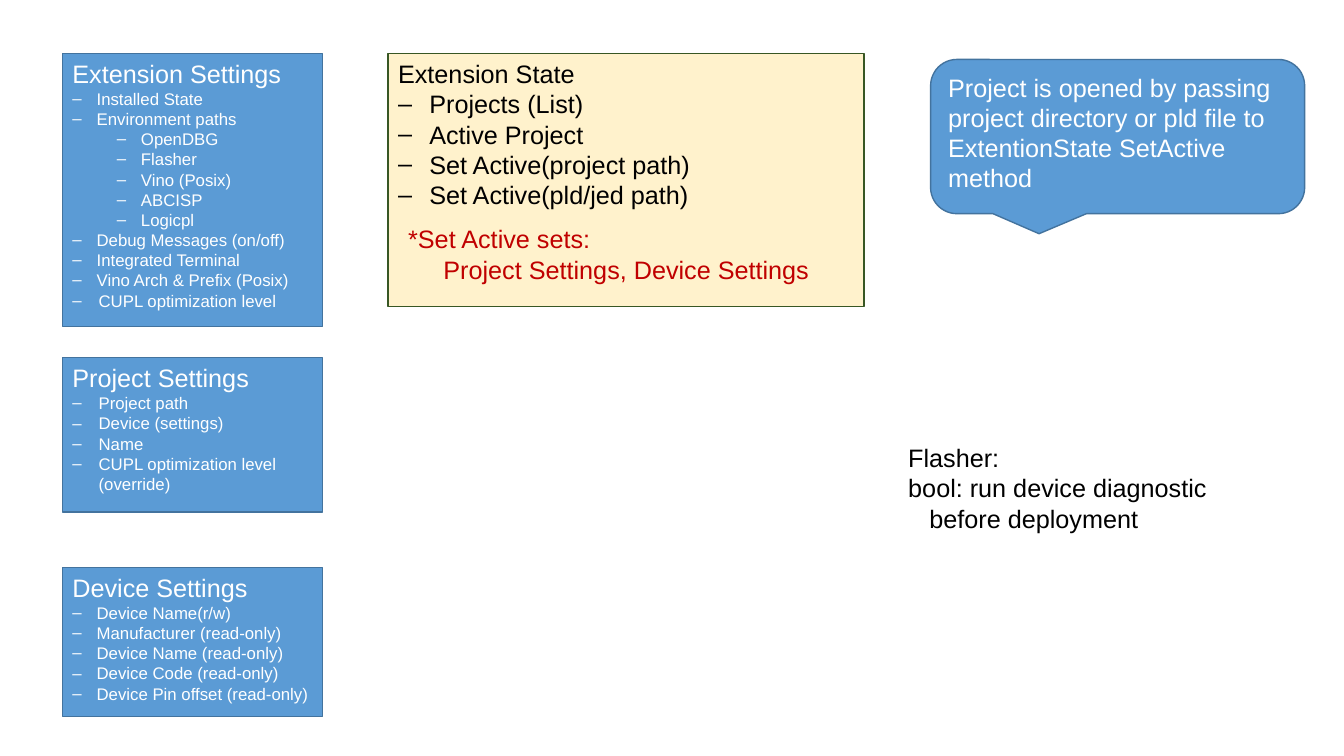
import pptx
import pptx.util
import pptx.dml.color
import pptx.enum.shapes
import pptx.enum.text
import pptx.oxml.ns
import lxml.etree

Inches = pptx.util.Inches
RGBColor = pptx.dml.color.RGBColor
Shapes = pptx.enum.shapes.MSO_SHAPE

BLUE = RGBColor(0x5B, 0x9B, 0xD5)
BLUE_EDGE = RGBColor(0x43, 0x73, 0x9E)
CREAM = RGBColor(0xFF, 0xF2, 0xCC)
GREEN_EDGE = RGBColor(0x38, 0x57, 0x24)
WHITE = RGBColor(0xFF, 0xFF, 0xFF)
BLACK = RGBColor(0x00, 0x00, 0x00)
RED = RGBColor(0xC0, 0x00, 0x00)

SETTINGS_LEFT, SETTINGS_WIDTH = 0.62, 2.58
NARROW, MEDIUM, WIDE = 0.24, 0.26, 0.31
NESTED = 0.44

EXTENSION_SETTINGS = [
    ("Installed State", 0, NARROW),
    ("Environment paths", 0, NARROW),
    ("OpenDBG", 1, NARROW),
    ("Flasher", 1, NARROW),
    ("Vino (Posix)", 1, NARROW),
    ("ABCISP", 1, NARROW),
    ("Logicpl", 1, NARROW),
    ("Debug Messages (on/off)", 0, NARROW),
    ("Integrated Terminal", 0, NARROW),
    ("Vino Arch & Prefix (Posix)", 0, NARROW),
    ("CUPL optimization level", 0, MEDIUM),
]
PROJECT_SETTINGS = [
    (text, 0, MEDIUM)
    for text in ("Project path", "Device (settings)", "Name",
                 "CUPL optimization level (override)")
]
DEVICE_SETTINGS = [
    (text, 0, NARROW)
    for text in ("Device Name(r/w)", "Manufacturer (read-only)",
                 "Device Name (read-only)", "Device Code (read-only)",
                 "Device Pin offset (read-only)")
]
EXTENSION_STATE = [
    (text, 0, WIDE)
    for text in ("Projects (List)", "Active Project",
                 "Set Active(project path)", "Set Active(pld/jed path)")
]


def apply_format(target, values):
    for name, value in values.items():
        setattr(target, name, value)


def prepare_frame(shape):
    apply_format(shape.text_frame, {
        "word_wrap": True,
        "vertical_anchor": pptx.enum.text.MSO_ANCHOR.TOP,
    })


def write_paragraph(shape, text, color, size=18, indent=0):
    frame = shape.text_frame
    paragraph = frame.add_paragraph() if frame.text else frame.paragraphs[0]
    paragraph.alignment = pptx.enum.text.PP_ALIGN.LEFT
    run = paragraph.add_run()
    run.text = text
    apply_format(run.font, {"name": "Arial", "size": pptx.util.Pt(size)})
    run.font.color.rgb = color
    if indent:
        paragraph._p.get_or_add_pPr().set("marL", str(Inches(indent)))
    return paragraph


def add_dash(paragraph, level, hanging):
    paragraph.level = level
    properties = paragraph._p.get_or_add_pPr()
    properties.set("marL", str(Inches(hanging + level * NESTED)))
    properties.set("indent", str(-Inches(hanging)))
    for tag, name, value in (("a:buFont", "typeface", "Arial"),
                             ("a:buChar", "char", "–")):
        element = lxml.etree.SubElement(properties, pptx.oxml.ns.qn(tag))
        element.set(name, value)


def add_panel(slide, kind, box, fill=BLUE, edge=BLUE_EDGE):
    shape = slide.shapes.add_shape(kind, *map(Inches, box))
    shape.shadow.inherit = False
    shape.fill.solid()
    shape.fill.fore_color.rgb = fill
    shape.line.color.rgb = edge
    shape.line.width = pptx.util.Pt(1)
    prepare_frame(shape)
    return shape


def write_list(shape, heading, items, color, size):
    write_paragraph(shape, heading, color)
    for text, level, hanging in items:
        add_dash(write_paragraph(shape, text, color, size), level, hanging)


def add_note(slide, box, lines, color):
    note = slide.shapes.add_textbox(*map(Inches, box))
    prepare_frame(note)
    for text, indent in lines:
        write_paragraph(note, text, color, indent=indent)


def main():
    presentation = pptx.Presentation()
    apply_format(presentation, {"slide_width": Inches(13.33),
                                "slide_height": Inches(7.5)})
    slide = presentation.slides.add_slide(presentation.slide_layouts[6])

    for heading, top, height, items in (
        ("Extension Settings", 0.53, 2.71, EXTENSION_SETTINGS),
        ("Project Settings", 3.55, 1.53, PROJECT_SETTINGS),
        ("Device Settings", 5.63, 1.48, DEVICE_SETTINGS),
    ):
        box = (SETTINGS_LEFT, top, SETTINGS_WIDTH, height)
        panel = add_panel(slide, Shapes.RECTANGLE, box)
        write_list(panel, heading, items, WHITE, 12)

    state = add_panel(slide, Shapes.RECTANGLE, (3.85, 0.53, 4.72, 2.51),
                      CREAM, GREEN_EDGE)
    write_list(state, "Extension State", EXTENSION_STATE, BLACK, 18)
    add_note(slide, (3.95, 2.17, 4.54, 0.7),
             [("*Set Active sets:", 0),
              ("Project Settings, Device Settings", 0.35)], RED)

    callout = add_panel(slide, Shapes.ROUNDED_RECTANGULAR_CALLOUT,
                        (9.23, 0.59, 3.71, 1.53))
    for index, value in enumerate((-0.21, 0.63, 0.17)):
        callout.adjustments[index] = value
    write_paragraph(callout, "Project is opened by passing project directory "
                    "or pld file to ExtentionState SetActive method", WHITE)

    add_note(slide, (8.91, 4.34, 3.3, 1.3),
             [("Flasher:", 0), ("bool: run device diagnostic", 0),
              ("before deployment", 0.21)], BLACK)

    presentation.save("out.pptx")


if __name__ == "__main__":
    main()
